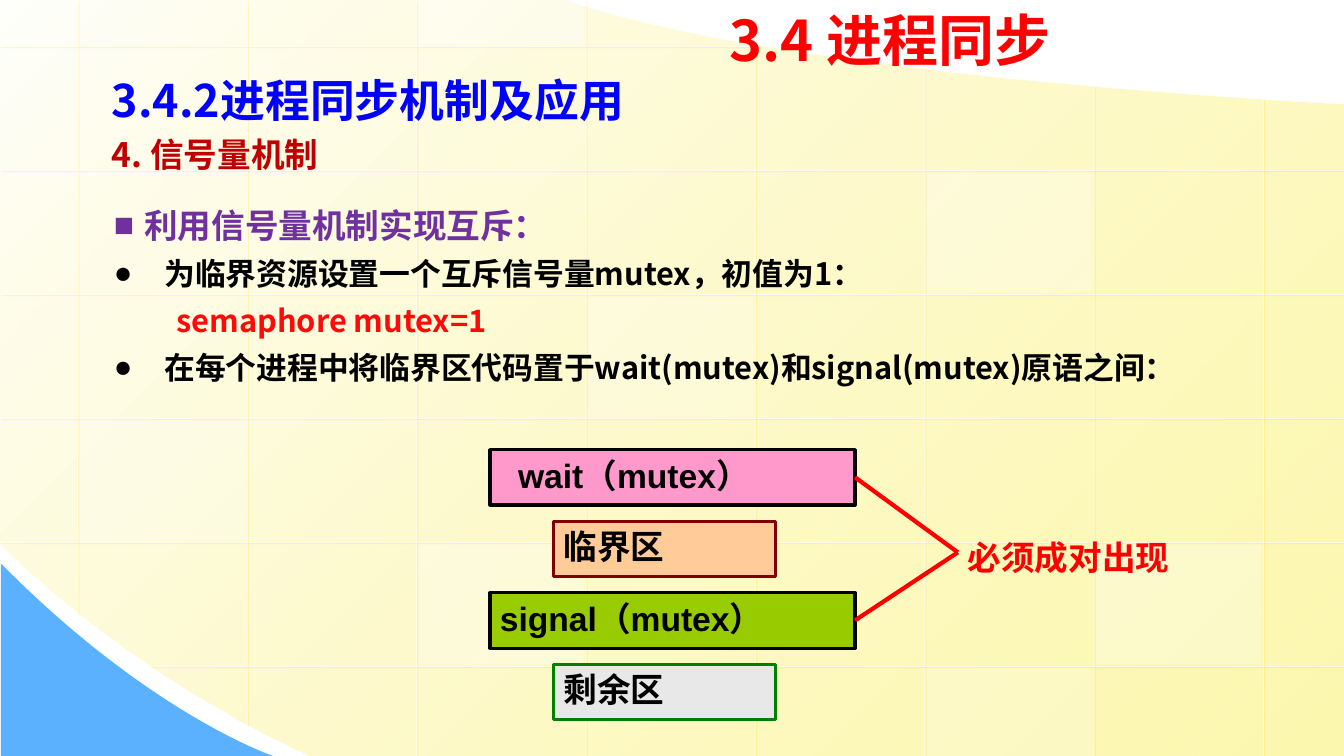
from dataclasses import dataclass

from lxml import etree
from pptx import Presentation
from pptx.dml.color import RGBColor
from pptx.enum import shapes as sh, text as tx
from pptx.oxml import ns
from pptx.util import Inches, Pt

SANS, ARIAL = "Noto Sans CJK SC", "Arial"
WIDE, HIGH = 13.33, 7.5


@dataclass
class Run:
    text: str
    size: float
    color: str
    font: str = SANS


@dataclass
class Item:
    run: Run
    left: float
    hang: float = 0
    mark: str = ""


@dataclass
class Box:
    run: Run
    x: float
    width: float
    fill: str
    edge: str
    indent: float = 0


@dataclass
class Tile:
    col: int
    row: int
    alpha: int


def paint(color, code: str) -> None:
    color.rgb = RGBColor.from_string(code)


def sub(node, tag: str, **attrs: str):
    return etree.SubElement(node, ns.qn(tag), attrs)


def fade(shape, alpha: int) -> None:
    last = list(shape.element.spPr.iter(ns.qn("a:srgbClr")))[-1]
    sub(last, "a:alpha", val=str(alpha * 1000))


def write(para, item: Run) -> None:
    run = para.add_run()
    run.text = item.text
    font = run.font
    font.name, font.size, font.bold = item.font, Pt(item.size), True
    paint(font.color, item.color)
    sub(run._r.get_or_add_rPr(), "a:ea", typeface=SANS)


def place(shape, x: float, y: float, w: float, h: float) -> None:
    shape.left, shape.top = Inches(x), Inches(y)
    shape.width, shape.height = Inches(w), Inches(h)


def plain(shape, code: str) -> None:
    shape.shadow.inherit = False
    shape.fill.solid()
    paint(shape.fill.fore_color, code)
    shape.line.fill.background()


def outline(slide, points: list, bends: tuple):
    """Closed outline; each bend is the index of a curve's first control point."""
    spots = [(Inches(x), Inches(y)) for x, y in points]
    form = slide.shapes.build_freeform(*spots[0])
    form.add_line_segments(spots[1:], close=True)
    shape = form.convert_to_shape()
    steps = list(shape.element.spPr.iter(ns.qn("a:lnTo")))
    for bend in bends:
        trio = steps[bend - 1:bend + 2]
        cubic = etree.Element(ns.qn("a:cubicBezTo"))
        trio[0].addprevious(cubic)
        for step in trio:
            cubic.append(step[0])
            step.getparent().remove(step)
    return shape


def line(slide, start, end, code: str, width: float):
    link = slide.shapes.add_connector(
        sh.MSO_CONNECTOR.STRAIGHT, *(Inches(v) for v in (*start, *end)))
    paint(link.line.color, code)
    link.line.width = Pt(width)
    sub(link.element.spPr, "a:effectLst")
    return link


def grid(slide, start, end) -> None:
    rule = line(slide, start, end, "FFFFFF", 0.75)
    fade(rule, 50)
    glow = sub(rule.element.spPr.find(ns.qn("a:effectLst")), "a:outerShdw",
               blurRad="0", dist="17780", dir="2700000", algn="ctr", rotWithShape="0")
    sub(sub(glow, "a:srgbClr", val="FFCC00"), "a:alpha", val="34000")


def label(slide, x: float, y: float, w: float, h: float, run: Run) -> None:
    frame = slide.shapes.add_textbox(*(Inches(v) for v in (x, y, w, h))).text_frame
    frame.word_wrap = True
    frame.vertical_anchor = tx.MSO_ANCHOR.MIDDLE
    write(frame.paragraphs[0], run)


def backdrop(slide) -> None:
    # Yellow field and blue corner
    field = outline(slide, [
        (WIDE, 1.04), (WIDE, HIGH), (3.07, HIGH),
        (1.15, 6.61), (0, 5.39), (0, 5.39),
        (0, 0), (5.61, 0),
        (5.61, 0), (7.15, 0.69), (WIDE, 1.04)], (3, 8))
    plain(field, "FFFFFB")
    field.fill.gradient()
    field.fill.gradient_angle = 315
    for stop, code in zip(field.fill.gradient_stops, ("FFFFFB", "FDF58D")):
        paint(stop.color, code)
    fade(field, 70)
    corner = outline(slide, [
        (0.01, 5.59), (0.01, HIGH), (2.71, HIGH),
        (2.71, HIGH), (1.49, 7.09), (0.01, 5.59)], (3,))
    plain(corner, "5CB1FE")

    # Grid lines, clipped to the yellow field
    x0, y0, dx, dy = 0.77, 0.46, 1.68, 1.23
    tops = (0, 0, 0, 0, 0.43, 0.68, 0.85, 0.98)
    ends = (6.09, 7.19) + (HIGH,) * 6
    for i, (top, end) in enumerate(zip(tops, ends)):
        grid(slide, (x0 + i * dx, top), (x0 + i * dx, end))
    spans = [(0, 7.57)] + [(0, WIDE)] * 4 + [(1.48, WIDE)]
    for i, (left, right) in enumerate(spans):
        grid(slide, (right, y0 + i * dy), (left, y0 + i * dy))

    # Pale tiles in some cells
    for t in (Tile(3, 2, 25), Tile(6, 4, 30), Tile(0, 3, 20), Tile(5, 5, 20),
              Tile(2, -1, 40), Tile(2, 4, 30), Tile(5, 1, 30)):
        top = max(0, y0 + t.row * dy + 0.02)
        low = min(HIGH, y0 + (t.row + 1) * dy - 0.02)
        tile = slide.shapes.add_shape(sh.MSO_SHAPE.RECTANGLE, 0, 0, 0, 0)
        place(tile, x0 + t.col * dx + 0.02, top, 1.64, low - top)
        plain(tile, "FFFFFF")
        fade(tile, t.alpha)


def heading(title) -> None:
    place(title, 1.01, 0.76, 6.3, 0.82)
    frame = title.text_frame
    frame.auto_size = tx.MSO_AUTO_SIZE.NONE
    frame.vertical_anchor = tx.MSO_ANCHOR.MIDDLE
    para = frame.paragraphs[0]
    para.alignment, para.line_spacing = tx.PP_ALIGN.LEFT, 1.2
    write(para, Run("3.4.2进程同步机制及应用", 32, "0000FF"))
    para.add_line_break()
    write(para, Run("4. 信号量机制", 24, "C00000"))


def listing(body) -> None:
    place(body, 1.03, 1.94, 11.15, 2.6)
    frame = body.text_frame
    frame.auto_size = tx.MSO_AUTO_SIZE.NONE
    items = (
        Item(Run("利用信号量机制实现互斥：", 24, "7030A0"), 0.3, 0.3, "■"),
        Item(Run("为临界资源设置一个互斥信号量mutex，初值为1：", 22, "000000"), 0.5, 0.5, "●"),
        Item(Run("semaphore mutex=1", 22, "FF0909"), 0.62),
        Item(Run("在每个进程中将临界区代码置于wait(mutex)和signal(mutex)原语之间：",
                 22, "000000"), 0.5, 0.5, "●"))
    for i, item in enumerate(items):
        para = frame.add_paragraph() if i else frame.paragraphs[0]
        para.line_spacing = 1.1
        para.space_before = Pt(4.4 if i else 0)
        props = para._p.get_or_add_pPr()
        props.set("marL", str(Inches(item.left)))
        props.set("indent", str(-Inches(item.hang)))
        if item.mark:
            sub(props, "a:buChar", char=item.mark)
        else:
            sub(props, "a:buNone")
        write(para, item.run)


def stack(slide) -> list:
    rows = (
        Box(Run("wait（mutex）", 24, "000000", ARIAL), 4.86, 3.62, "FF99CC", "000000", 0.18),
        Box(Run("临界区", 24, "000000", ARIAL), 5.49, 2.2, "FFCC99", "800000"),
        Box(Run("signal（mutex）", 24, "000000", ARIAL), 4.86, 3.62, "99CC00", "000000"),
        Box(Run("剩余区", 24, "000000", ARIAL), 5.49, 2.2, "E8E8E8", "008000"))
    made = []
    for i, row in enumerate(rows):
        box = slide.shapes.add_shape(sh.MSO_SHAPE.RECTANGLE, 0, 0, 0, 0)
        place(box, row.x, 4.46 + i * 0.71, row.width, 0.55)
        plain(box, row.fill)
        paint(box.line.color, row.edge)
        box.line.width = Pt(2.25)
        box.text_frame.vertical_anchor = tx.MSO_ANCHOR.TOP
        para = box.text_frame.paragraphs[0]
        para.alignment = tx.PP_ALIGN.LEFT
        para._p.get_or_add_pPr().set("marL", str(Inches(row.indent)))
        write(para, row.run)
        made.append(box)
    return made


def main() -> None:
    deck = Presentation()
    deck.slide_width, deck.slide_height = Inches(WIDE), Inches(HIGH)
    slide = deck.slides.add_slide(deck.slide_layouts[1])
    title, body = slide.placeholders[0], slide.placeholders[1]
    backdrop(slide)

    # Title and list lie above the backdrop
    for holder in (title, body):
        holder.element.getparent().append(holder.element)
    heading(title)
    listing(body)

    # Code stack, chapter name and paired arms
    boxes = stack(slide)
    label(slide, 7.14, 0, 3.7, 0.78, Run("3.4 进程同步", 40, "FF0000"))
    for box in (boxes[0], boxes[2]):
        arm = line(slide, (8.48, 4.73), (9.5, 5.48), "FF0000", 3)
        arm.begin_connect(box, 3)
    label(slide, 9.5, 5.28, 2.36, 0.5, Run("必须成对出现", 24, "FF0000", ARIAL))
    deck.save("out.pptx")


if __name__ == "__main__":
    main()
